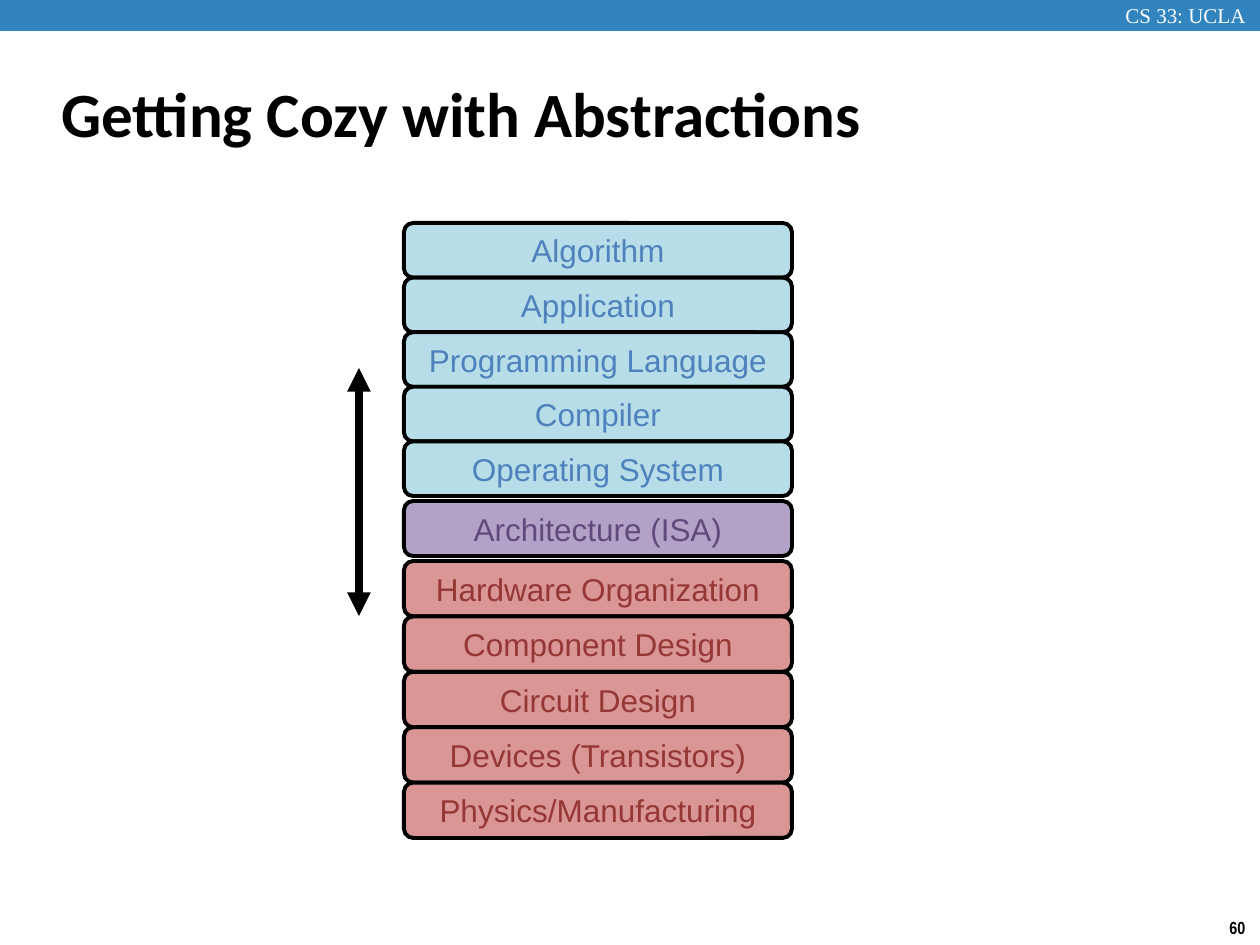
from lxml import etree
from pptx import Presentation
from pptx import util as u
from pptx.dml.color import RGBColor
from pptx.enum import shapes, text
from pptx.oxml.ns import qn

COLORS = {
    "black": "000000",
    "white": "FFFFFF",
    "banner": "3284BF",
    "software": "B7DEE8",
    "software_text": "4F81BD",
    "isa": "B3A2C7",
    "isa_text": "604A7B",
    "hardware": "D99694",
    "hardware_text": "953735",
}

SOFTWARE = ["Algorithm", "Application", "Programming Language", "Compiler", "Operating System"]
HARDWARE = ["Hardware Organization", "Component Design", "Circuit Design",
            "Devices (Transistors)", "Physics/Manufacturing"]


def px(n):
    return u.Emu(round(n * 914400 / 126))


def color(key):
    return RGBColor.from_string(COLORS[key])


def write(frame, words, font, size, key, bold=False, align=text.PP_ALIGN.LEFT,
          anchor=text.MSO_ANCHOR.TOP, wrap=True):
    frame.word_wrap = wrap
    frame.vertical_anchor = anchor
    line = frame.paragraphs[0]
    line.alignment = align
    run = line.add_run()
    run.text = words
    run.font.name = font
    run.font.size = u.Pt(size)
    run.font.bold = bold
    run.font.color.rgb = color(key)


def add_label(slide, box, words, font, size, key, **options):
    label = slide.shapes.add_textbox(*map(px, box))
    write(label.text_frame, words, font, size, key, **options)


def add_block(slide, kind, box, key):
    block = slide.shapes.add_shape(kind, *map(px, box))
    block.shadow.inherit = False
    block.fill.solid()
    block.fill.fore_color.rgb = color(key)
    return block


def add_banner(slide, box):
    left, top, width, height = box
    banner = add_block(slide, shapes.MSO_SHAPE.RECTANGLE, box, "banner")
    banner.line.fill.background()
    add_label(slide, (left + width - 147, top - 4, 156, 38), "CS 33: UCLA",
              "Times New Roman", 12, "white")


def add_layers(slide, box, names, key):
    left, top, width, height = box
    pitch = height / len(names)
    for row, name in enumerate(names):
        layer = add_block(slide, shapes.MSO_SHAPE.ROUNDED_RECTANGLE,
                          (left, top + row * pitch, width, pitch), key)
        layer.line.color.rgb = color("black")
        layer.line.width = u.Pt(2.25)
        write(layer.text_frame, name, "Arial", 18, key + "_text",
              align=text.PP_ALIGN.CENTER, anchor=text.MSO_ANCHOR.MIDDLE, wrap=False)


def add_stack(slide, box):
    left, top, width, height = box
    add_layers(slide, (left, top, width, 273), SOFTWARE, "software")
    add_layers(slide, (left, top + 278, width, 55), ["Architecture (ISA)"], "isa")
    add_layers(slide, (left, top + height - 277, width, 277), HARDWARE, "hardware")


def add_span_arrow(slide, box):
    left, top, width, height = box
    span = slide.shapes.add_connector(shapes.MSO_CONNECTOR.STRAIGHT, px(left), px(top),
                                      px(left + width), px(top + height))
    span.line.color.rgb = color("black")
    span.line.width = u.Pt(4.5)
    outline = span.line._get_or_add_ln()
    for end in ("a:headEnd", "a:tailEnd"):
        etree.SubElement(outline, qn(end), type="triangle")
    etree.SubElement(span._element.spPr, qn("a:effectLst"))


def main():
    deck = Presentation()
    deck.slide_width, deck.slide_height = px(1260), px(945)
    slide = deck.slides.add_slide(deck.slide_layouts[6])
    add_banner(slide, (0, 0, 1260, 31))
    add_label(slide, (1217, 911, 43, 34), "60", "Arial Narrow", 10, "black",
              bold=True, wrap=False)
    add_label(slide, (49, 60, 1046, 105), "Getting Cozy with Abstractions", "Calibri", 36,
              "black", bold=True, anchor=text.MSO_ANCHOR.MIDDLE)
    add_stack(slide, (404, 223, 388, 615))
    add_span_arrow(slide, (359, 368, 0, 248))
    deck.save("out.pptx")


if __name__ == "__main__":
    main()
